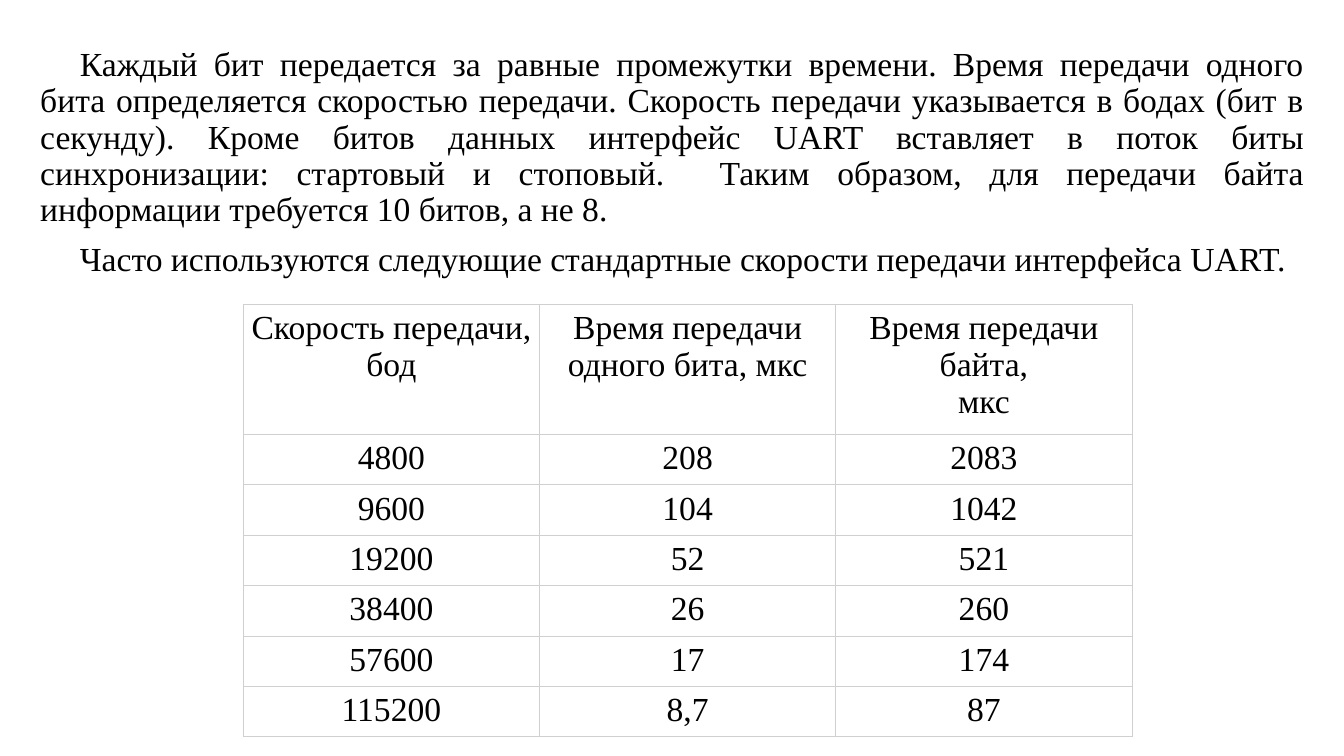
from lxml import etree
from pptx import Presentation
from pptx.dml.color import RGBColor
from pptx.enum import text
from pptx.oxml import ns
from pptx.util import Cm, Pt

INTRO = [
    "Каждый бит передается за равные промежутки времени. Время передачи одного "
    "бита определяется скоростью передачи. Скорость передачи указывается в бодах "
    "(бит в секунду). Кроме битов данных интерфейс UART вставляет в поток биты "
    "синхронизации: стартовый и стоповый.  Таким образом, для передачи байта "
    "информации требуется 10 битов, а не 8.",
    "Часто используются следующие стандартные скорости передачи интерфейса UART.",
]
RATES = [
    ("Скорость передачи,\nбод", "Время передачи одного бита, мкс",
     "Время передачи байта,\nмкс"),
    ("4800", "208", "2083"),
    ("9600", "104", "1042"),
    ("19200", "52", "521"),
    ("38400", "26", "260"),
    ("57600", "17", "174"),
    ("115200", "8,7", "87"),
]
INTRO_FORMAT = {"alignment": text.PP_ALIGN.JUSTIFY, "line_spacing": 0.9,
                "space_before": Pt(10)}
CELL_FORMAT = {"alignment": text.PP_ALIGN.CENTER}
FONT_FORMAT = {"name": "Times New Roman", "size": Pt(24)}
MARGINS = dict.fromkeys(
    ("margin_left", "margin_top", "margin_right", "margin_bottom"), Cm(0.13))


def colour(code):
    """Return the colour for a hex string."""
    return RGBColor.from_string(code)


def apply(target, values):
    """Set each named attribute on the target."""
    for name, value in values.items():
        setattr(target, name, value)


def write(para, words, values):
    """Fill a paragraph with formatted words."""
    para.text = words
    apply(para, values)
    for span in para.runs:
        apply(span.font, FONT_FORMAT)
        span.font.color.rgb = colour("000000")


def add_border(cell):
    """Draw a thin grey line on all four sides of a cell."""
    properties = cell._tc.get_or_add_tcPr()
    for side in "LRTB":
        line = etree.SubElement(properties, ns.qn(f"a:ln{side}"), w=str(Pt(0.75)))
        fill = etree.SubElement(line, ns.qn("a:solidFill"))
        etree.SubElement(fill, ns.qn("a:srgbClr"), val="D0D0D0")


def add_intro(page, left, top, width, height):
    """Place the justified paragraphs in the body placeholder."""
    body = page.placeholders[1]
    apply(body, {"left": left, "top": top, "width": width, "height": height})
    frame = body.text_frame
    apply(frame, {"word_wrap": True, "auto_size": text.MSO_AUTO_SIZE.NONE,
                  "vertical_anchor": text.MSO_ANCHOR.TOP})
    for index, words in enumerate(INTRO):
        para = frame.add_paragraph() if index else frame.paragraphs[0]
        write(para, words, INTRO_FORMAT)
        properties = para._p.get_or_add_pPr()
        properties.set("marL", "0")
        properties.set("indent", str(Cm(1)))
        etree.SubElement(properties, ns.qn("a:buNone"))


def add_rates(page, left, top, width, head_height, row_height):
    """Place the table of baud rates."""
    height = head_height + row_height * (len(RATES) - 1)
    table = page.shapes.add_table(
        len(RATES), len(RATES[0]), left, top, width, height).table
    apply(table, {"first_row": False, "horz_banding": False})
    for row_index, values in enumerate(RATES):
        table.rows[row_index].height = row_height if row_index else head_height
        for column_index, words in enumerate(values):
            cell = table.cell(row_index, column_index)
            apply(cell, MARGINS)
            add_border(cell)
            cell.fill.solid()
            cell.fill.fore_color.rgb = colour("FFFFFF")
            write(cell.text_frame.paragraphs[0], words, CELL_FORMAT)


def main():
    """Build the slide and save it."""
    deck = Presentation()
    apply(deck, {"slide_width": Cm(33.87), "slide_height": Cm(19.05)})
    page = deck.slides.add_slide(deck.slide_layouts[1])
    title = page.shapes.title.element
    title.getparent().remove(title)
    add_intro(page, Cm(0.76), Cm(1.07), Cm(32.36), Cm(17.17))
    add_rates(page, Cm(6.13), Cm(7.67), Cm(22.4), Cm(3.28), Cm(1.27))
    deck.save("out.pptx")


if __name__ == "__main__":
    main()
